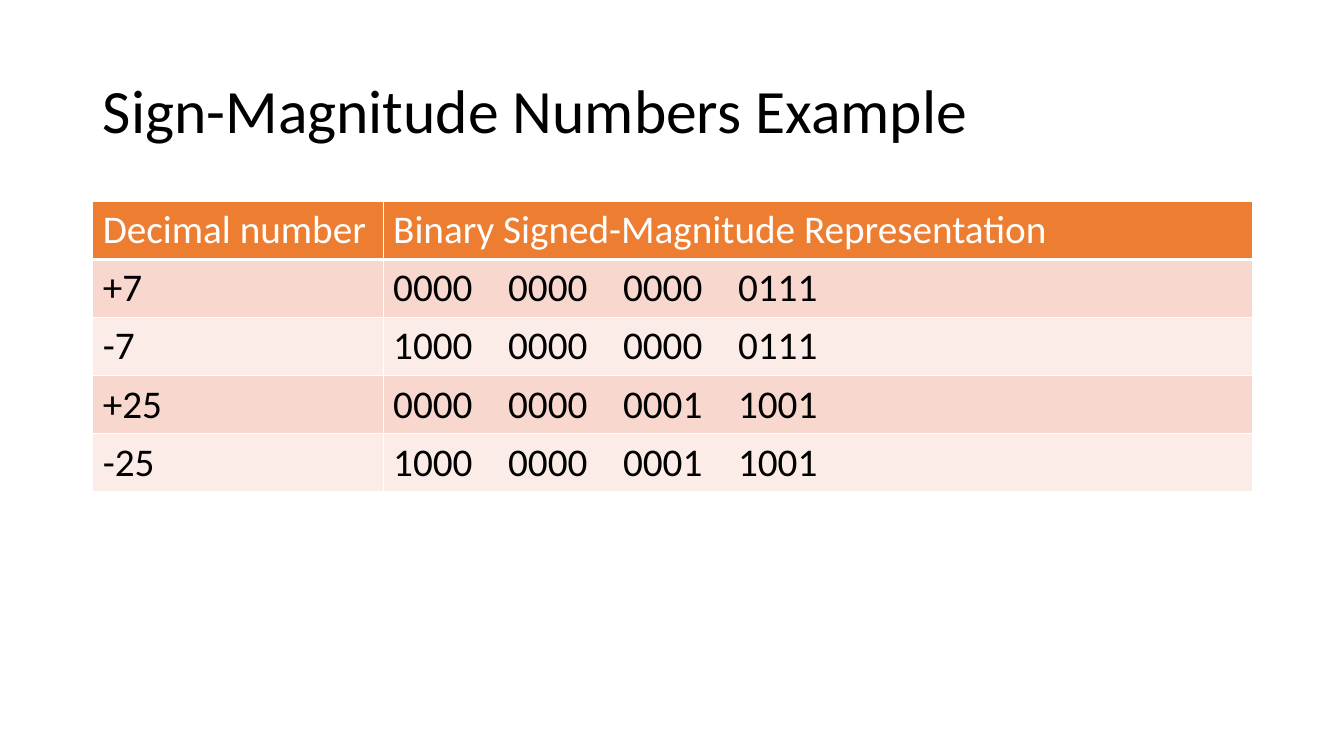
"""Build a slide with a table of sign-magnitude number examples."""
from dataclasses import dataclass

from lxml.etree import SubElement
from pptx import Presentation
from pptx.dml.color import RGBColor
from pptx.enum.text import MSO_ANCHOR, MSO_AUTO_SIZE, PP_ALIGN
from pptx.oxml.ns import qn
from pptx.slide import Slide
from pptx.table import _Cell as Cell
from pptx.text.text import _Paragraph as Paragraph
from pptx.util import Inches, Pt

FONT = "Calibri"
BLACK = RGBColor(0x00, 0x00, 0x00)
WHITE = RGBColor(0xFF, 0xFF, 0xFF)
ORANGE = RGBColor(0xED, 0x7D, 0x31)
BANDS = (RGBColor(0xF8, 0xD7, 0xCE), RGBColor(0xFC, 0xEC, 0xE8))

LEFT, WIDTH = Inches(0.92), Inches(11.5)
TABLE_TOP, ROW_HEIGHT = Inches(2), Inches(0.57)
COLUMN_WIDTHS = (Inches(2.88), Inches(8.62))
NIBBLE_PITCH = Inches(1.14)


@dataclass(frozen=True)
class Example:
    decimal: str
    nibbles: tuple[str, ...]


@dataclass(frozen=True)
class RowStyle:
    fill: RGBColor
    text: RGBColor
    bottom_border: float = 1


HEADINGS = ("Decimal number", "Binary Signed-Magnitude Representation")
HEADING_STYLE = RowStyle(ORANGE, WHITE, 3)
EXAMPLES = (
    Example("+7", ("0000", "0000", "0000", "0111")),
    Example("-7", ("1000", "0000", "0000", "0111")),
    Example("+25", ("0000", "0000", "0001", "1001")),
    Example("-25", ("1000", "0000", "0001", "1001")),
)


def add_run(paragraph: Paragraph, text: str, size: float, color: RGBColor) -> None:
    """Add one run of text in the slide's font."""
    run = paragraph.add_run()
    run.text = text
    run.font.name = FONT
    run.font.size = Pt(size)
    run.font.bold = False
    run.font.color.rgb = color


def add_nibble_tabs(paragraph: Paragraph, count: int) -> None:
    """Set evenly spaced tab stops for groups of four bits."""
    tabs = SubElement(paragraph._p.get_or_add_pPr(), qn("a:tabLst"))
    for stop in range(1, count):
        SubElement(tabs, qn("a:tab"), pos=str(NIBBLE_PITCH * stop), algn="l")


def add_borders(cell: Cell, bottom: float) -> None:
    """Draw white borders on all four sides of a cell."""
    properties = cell._tc.get_or_add_tcPr()
    for side, width in (("L", 1), ("R", 1), ("T", 1), ("B", bottom)):
        line = SubElement(properties, qn(f"a:ln{side}"), w=str(Pt(width)))
        fill = SubElement(line, qn("a:solidFill"))
        SubElement(fill, qn("a:srgbClr"), val=str(WHITE))


def fill_cell(cell: Cell, text: str, style: RowStyle) -> None:
    """Write and format one table cell."""
    add_borders(cell, style.bottom_border)
    cell.fill.solid()
    cell.fill.fore_color.rgb = style.fill
    add_run(cell.text_frame.paragraphs[0], text, 28, style.text)


def add_title(slide: Slide) -> None:
    """Place and format the slide title."""
    title = slide.shapes.title
    title.left, title.top = LEFT, Inches(0.4)
    title.width, title.height = WIDTH, Inches(1.45)
    frame = title.text_frame
    frame.auto_size = MSO_AUTO_SIZE.NONE
    frame.vertical_anchor = MSO_ANCHOR.MIDDLE
    heading = frame.paragraphs[0]
    heading.alignment = PP_ALIGN.LEFT
    heading.line_spacing = 0.9
    add_run(heading, "Sign-Magnitude Numbers Example", 44, BLACK)


def add_examples(slide: Slide) -> None:
    """Add the table of decimal numbers and their binary forms."""
    row_count = len(EXAMPLES) + 1
    table = slide.shapes.add_table(
        row_count, len(HEADINGS), LEFT, TABLE_TOP, WIDTH, ROW_HEIGHT * row_count
    ).table
    table.horz_banding = False
    for column, width in zip(table.columns, COLUMN_WIDTHS):
        column.width = width
    for column, heading in enumerate(HEADINGS):
        fill_cell(table.cell(0, column), heading, HEADING_STYLE)
    for row, example in enumerate(EXAMPLES, start=1):
        style = RowStyle(BANDS[(row - 1) % len(BANDS)], BLACK)
        decimal, binary = table.cell(row, 0), table.cell(row, 1)
        fill_cell(decimal, example.decimal, style)
        fill_cell(binary, "\t".join(example.nibbles), style)
        add_nibble_tabs(binary.text_frame.paragraphs[0], len(example.nibbles))


def main() -> None:
    """Create the presentation and save it."""
    presentation = Presentation()
    presentation.slide_width = Inches(13.33)
    presentation.slide_height = Inches(7.5)
    slide = presentation.slides.add_slide(presentation.slide_layouts[5])
    add_title(slide)
    add_examples(slide)
    presentation.save("out.pptx")


if __name__ == "__main__":
    main()
